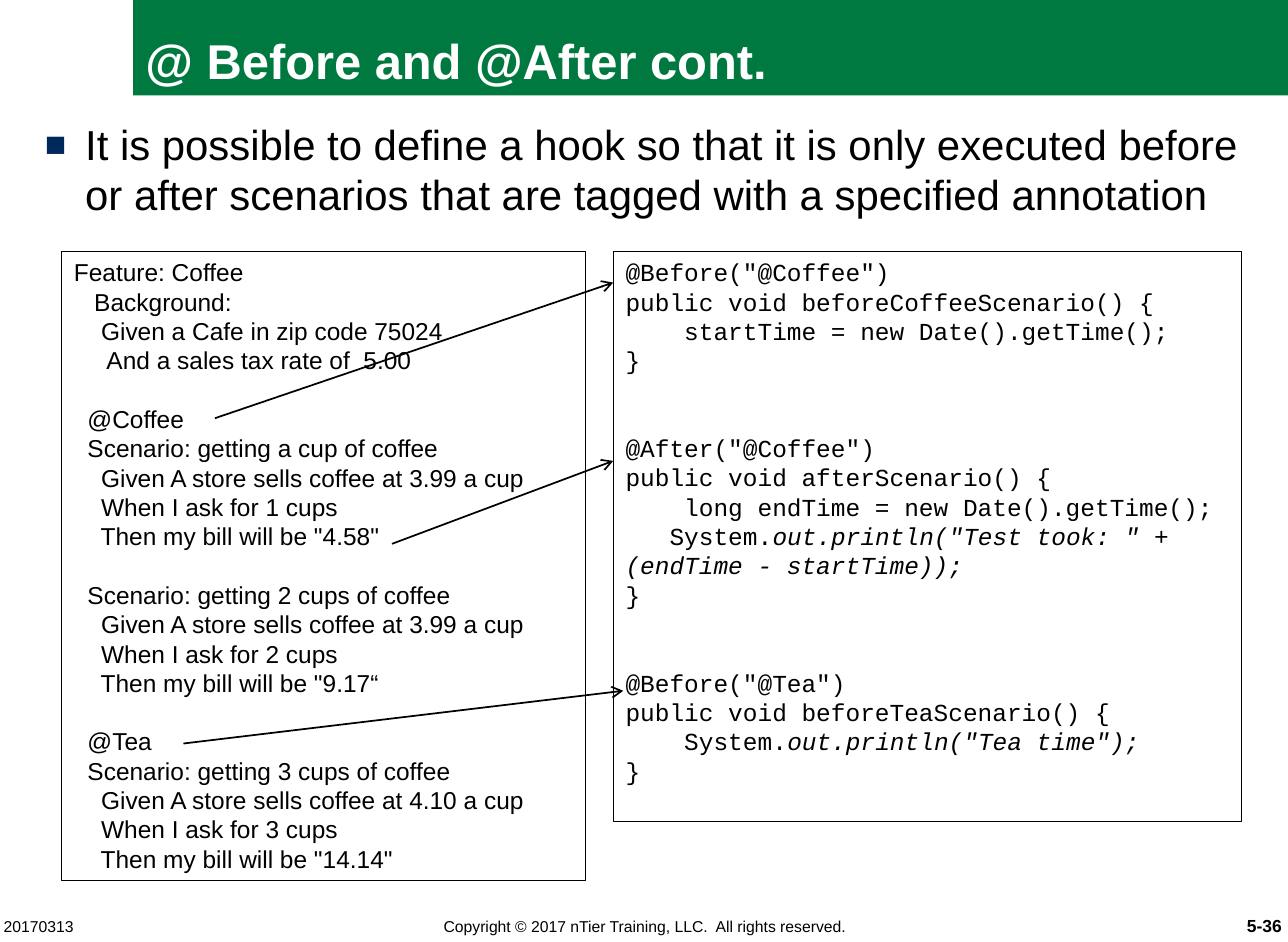
from lxml import etree
from pptx import Presentation
from pptx.dml.color import RGBColor
from pptx.enum.shapes import MSO_CONNECTOR, MSO_SHAPE
from pptx.enum.text import MSO_ANCHOR, PP_ALIGN
from pptx.oxml.ns import qn
from pptx.util import Inches, Pt

RECTANGLE = MSO_SHAPE.RECTANGLE
STRAIGHT = MSO_CONNECTOR.STRAIGHT
TOP, BOTTOM = MSO_ANCHOR.TOP, MSO_ANCHOR.BOTTOM
LEFT, CENTER, RIGHT = PP_ALIGN.LEFT, PP_ALIGN.CENTER, PP_ALIGN.RIGHT
COLORS = {"banner": "007940", "bullet": "00295B", "text": "000000", "title": "FFFFFF"}
CODE_SIZE = 14
CODE_PITCH = 16.8


def add_box(left, top, width, height, anchor=TOP, margins=(0.1, 0.05), fill=None, line=None):
    shape = slide.shapes.add_shape(
        RECTANGLE, Inches(left), Inches(top), Inches(width), Inches(height))
    shape.shadow.inherit = False
    if fill:
        shape.fill.solid()
        shape.fill.fore_color.rgb = RGBColor.from_string(COLORS[fill])
    else:
        shape.fill.background()
    if line:
        shape.line.color.rgb = RGBColor.from_string(COLORS[line])
        shape.line.width = Pt(0.75)
    else:
        shape.line.fill.background()
    frame = shape.text_frame
    frame.word_wrap = True
    frame.vertical_anchor = anchor
    frame.margin_left = frame.margin_right = Inches(margins[0])
    frame.margin_top = frame.margin_bottom = Inches(margins[1])
    return frame


def add_run(paragraph, text, size, font="Arial", color="text", bold=False, italic=False):
    run = paragraph.add_run()
    run.text = text
    run.font.name = font
    run.font.size = Pt(size)
    run.font.bold = bold
    run.font.italic = italic
    run.font.color.rgb = RGBColor.from_string(COLORS[color])


presentation = Presentation()
presentation.slide_width = Inches(10.25)
presentation.slide_height = Inches(7.5)
slide = presentation.slides.add_slide(presentation.slide_layouts[6])

title = add_box(1.06, 0, 9.2, 0.76, anchor=BOTTOM, fill="banner").paragraphs[0]
title.alignment = LEFT
add_run(title, "@ Before and @After cont.", 28, color="title", bold=True)

statement = add_box(0.26, 0.9, 9.74, 0.97).paragraphs[0]
statement.alignment = LEFT
statement.line_spacing = Pt(28.6)
properties = statement._p.get_or_add_pPr()
properties.set("marL", str(Inches(0.32)))
properties.set("indent", str(-Inches(0.32)))
bullet_color = etree.SubElement(properties, qn("a:buClr"))
etree.SubElement(bullet_color, qn("a:srgbClr"), val=COLORS["bullet"])
etree.SubElement(properties, qn("a:buSzPct"), val="85000")
etree.SubElement(properties, qn("a:buFont"), typeface="Arial")
etree.SubElement(properties, qn("a:buChar"), char="■")
add_run(statement, "It is possible to define a hook so that it is only executed before "
        "or after scenarios that are tagged with a specified annotation", 24)

feature_blocks = [
    ["Feature: Coffee",
     "   Background:",
     "    Given a Cafe in zip code 75024",
     "     And a sales tax rate of  5.00"],
    ["  @Coffee",
     "  Scenario: getting a cup of coffee",
     "    Given A store sells coffee at 3.99 a cup",
     "    When I ask for 1 cups",
     '    Then my bill will be "4.58"'],
    ["  Scenario: getting 2 cups of coffee",
     "    Given A store sells coffee at 3.99 a cup",
     "    When I ask for 2 cups",
     '    Then my bill will be "9.17“'],
    ["  @Tea",
     "  Scenario: getting 3 cups of coffee",
     "    Given A store sells coffee at 4.10 a cup",
     "    When I ask for 3 cups",
     '    Then my bill will be "14.14"'],
]
hook_blocks = [
    ['@Before("@Coffee")',
     "public void beforeCoffeeScenario() {",
     "    startTime = new Date().getTime();",
     "}"],
    ['@After("@Coffee")',
     "public void afterScenario() {",
     "    long endTime = new Date().getTime();",
     ("   System.", 'out.println("Test took: " + (endTime - startTime));'),
     "}"],
    ['@Before("@Tea")',
     "public void beforeTeaScenario() {",
     ("    System.", 'out.println("Tea time");'),
     "}"],
]
listings = [
    (0.49, 4.17, 5.01, "Arial", 1, feature_blocks),
    (4.88, 5, 4.54, "Courier New", 2, hook_blocks),
]
for left, width, height, font, gap_lines, blocks in listings:
    frame = add_box(left, 2, width, height, line="text")
    paragraph = frame.paragraphs[0]
    for block_index, block in enumerate(blocks):
        for line_index, code in enumerate(block):
            if block_index or line_index:
                paragraph = frame.add_paragraph()
            paragraph.alignment = LEFT
            paragraph.line_spacing = Pt(CODE_PITCH)
            if block_index and line_index == 0:
                paragraph.space_before = Pt(gap_lines * CODE_PITCH)
            plain, *italics = (code,) if isinstance(code, str) else code
            add_run(paragraph, plain, CODE_SIZE, font)
            for italic_text in italics:
                add_run(paragraph, italic_text, CODE_SIZE, font, italic=True)

arrows = [
    (1.71, 3.33, 4.88, 2.25),
    (3.12, 4.33, 4.88, 3.67),
    (1.46, 5.92, 4.96, 5.5),
]
for ends in arrows:
    arrow = slide.shapes.add_connector(STRAIGHT, *[Inches(value) for value in ends])
    arrow.line.color.rgb = RGBColor.from_string(COLORS["text"])
    arrow.line.width = Pt(1)
    etree.SubElement(arrow.line._get_or_add_ln(), qn("a:tailEnd"), type="arrow")
    etree.SubElement(arrow._element.spPr, qn("a:effectLst"))

footers = [
    (0.03, 1, LEFT, "20170313", 9, False),
    (2.14, 5.98, CENTER, "Copyright © 2017 nTier Training, LLC.  All rights reserved.", 9, False),
    (9.42, 0.78, RIGHT, "5-36", 10, True),
]
for left, width, alignment, text, size, bold in footers:
    footer = add_box(left, 7.2, width, 0.25, anchor=BOTTOM, margins=(0, 0)).paragraphs[0]
    footer.alignment = alignment
    add_run(footer, text, size, bold=bold)

presentation.save("out.pptx")
